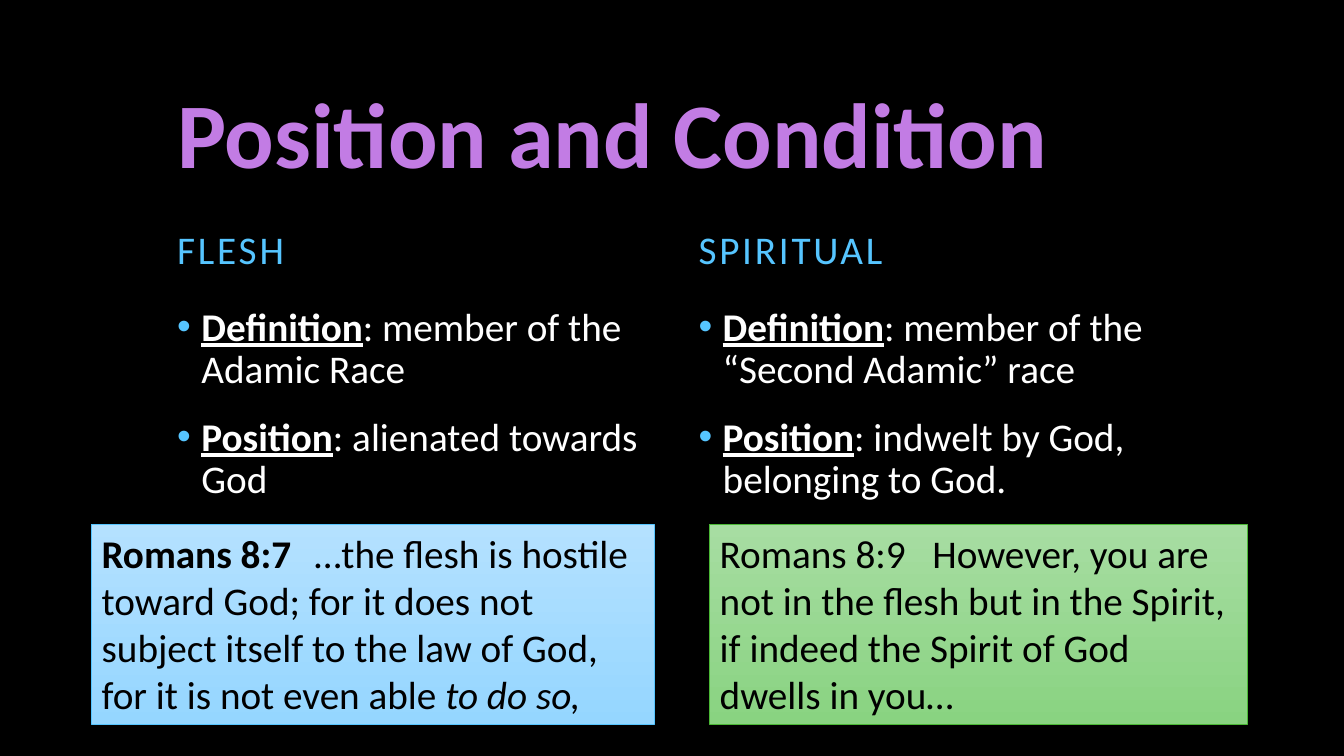
from dataclasses import dataclass

from lxml.etree import SubElement
from pptx import Presentation
from pptx.dml.color import RGBColor
from pptx.enum.shapes import MSO_SHAPE
from pptx.enum.text import MSO_ANCHOR, MSO_AUTO_SIZE, PP_ALIGN
from pptx.oxml.ns import qn
from pptx.util import Inches, Pt


@dataclass(frozen=True)
class Theme:
    font: str = "Calibri"
    background: str = "000000"
    title: str = "C27CE4"
    accent: str = "56C5FF"
    light: str = "FFFFFF"
    dark: str = "000000"
    blue: tuple = ("B4E1FF", "95D6FF", "56C5FF")
    green: tuple = ("A7DDA2", "89D381", "4BB836")
    title_size: int = 66
    body_size: int = 28


THEME = Theme()
MARGIN = 1.66
COLUMN_WIDTH = 4.83
COLUMN_STEP = 5.17
VERSE_TOP, VERSE_HEIGHT = 5.2, 1.99
VERSE_TAB = 2.11

COLUMNS = [
    ("FLESH", [("Definition", ": member of the Adamic Race"),
               ("Position", ": alienated towards God")]),
    ("SPIRITUAL", [("Definition", ": member of the “Second Adamic” race"),
                   ("Position", ": indwelt by God, belonging to God.")]),
]
VERSES = [
    (0.91, 5.58, THEME.blue, [
        ("Romans 8:7", {"bold": True}),
        ("\t…the flesh is hostile toward God; for it does not subject itself "
         "to the law of God, for it is not even able ", {}),
        ("to do so,", {"italic": True})]),
    (7.04, 5.33, THEME.green, [
        ("Romans 8:9\tHowever, you are not in the flesh but in the Spirit, "
         "if indeed the Spirit of God dwells in you…", {})]),
]


def add_span(para, text, color, size=THEME.body_size, bold=False, italic=False,
             underline=False, tracking=0):
    """Append formatted text; tracking is the letter spacing in points."""
    span = para.add_run()
    span.text = text
    font = span.font
    font.name, font.size = THEME.font, Pt(size)
    font.bold, font.italic, font.underline = bold, italic, underline
    font.color.rgb = RGBColor.from_string(color)
    if tracking:
        span._r.get_or_add_rPr().set("spc", str(tracking * 100))


def add_text_box(page, left, top, width, height, anchor):
    box = page.shapes.add_textbox(*map(Inches, (left, top, width, height)))
    frame = box.text_frame
    frame.word_wrap = True
    frame.vertical_anchor = anchor
    frame.paragraphs[0].line_spacing = 0.9
    return frame


def add_bullet(para):
    props = para._p.get_or_add_pPr()
    props.set("marL", str(Inches(0.24)))
    props.set("indent", str(-Inches(0.24)))
    color = SubElement(props, qn("a:buClr"))
    SubElement(color, qn("a:srgbClr"), val=THEME.accent)
    SubElement(props, qn("a:buFont"), typeface="Arial")
    SubElement(props, qn("a:buChar"), char="•")


def add_title(page, text, left, top, width, height):
    frame = add_text_box(page, left, top, width, height, MSO_ANCHOR.BOTTOM)
    add_span(frame.paragraphs[0], text, THEME.title, THEME.title_size, bold=True)


def add_column(page, heading, points, left, top, width):
    frame = add_text_box(page, left, top, width, 0.83, MSO_ANCHOR.MIDDLE)
    add_span(frame.paragraphs[0], heading, THEME.accent, tracking=2)

    frame = add_text_box(page, left, top + 0.92, width, 3.58, MSO_ANCHOR.TOP)
    for index, (term, meaning) in enumerate(points):
        para = frame.add_paragraph() if index else frame.paragraphs[0]
        add_bullet(para)
        para.line_spacing = 0.9
        if index:
            para.space_before = Pt(18)
        add_span(para, term, THEME.light, bold=True, underline=True)
        add_span(para, meaning, THEME.light)


def add_verse(page, spans, colors, left, top, width, height):
    box = page.shapes.add_shape(
        MSO_SHAPE.RECTANGLE, *map(Inches, (left, top, width, height)))
    box.shadow.inherit = False
    box.fill.gradient()
    box.fill.gradient_angle = 270
    for stop, color in zip(box.fill.gradient_stops, colors):
        stop.color.rgb = RGBColor.from_string(color)
    box.line.color.rgb = RGBColor.from_string(colors[-1])
    box.line.width = Pt(0.5)

    frame = box.text_frame
    frame.word_wrap = True
    frame.auto_size = MSO_AUTO_SIZE.SHAPE_TO_FIT_TEXT
    frame.vertical_anchor = MSO_ANCHOR.TOP
    para = frame.paragraphs[0]
    tabs = SubElement(para._p.get_or_add_pPr(), qn("a:tabLst"))
    SubElement(tabs, qn("a:tab"), pos=str(Inches(VERSE_TAB)), algn="l")
    para.alignment = PP_ALIGN.LEFT
    for text, style in spans:
        add_span(para, text, THEME.dark, **style)


def main():
    deck = Presentation()
    deck.slide_width, deck.slide_height = Inches(13.33), Inches(7.5)
    page = deck.slides.add_slide(deck.slide_layouts[6])
    page.background.fill.solid()
    page.background.fill.fore_color.rgb = RGBColor.from_string(THEME.background)

    add_title(page, "Position and Condition", MARGIN, 0.42, 10, 1.5)
    for index, (heading, points) in enumerate(COLUMNS):
        add_column(page, heading, points, MARGIN + index * COLUMN_STEP, 2.08,
                   COLUMN_WIDTH)
    for left, width, colors, spans in VERSES:
        add_verse(page, spans, colors, left, VERSE_TOP, width, VERSE_HEIGHT)
    deck.save("out.pptx")


if __name__ == "__main__":
    main()
